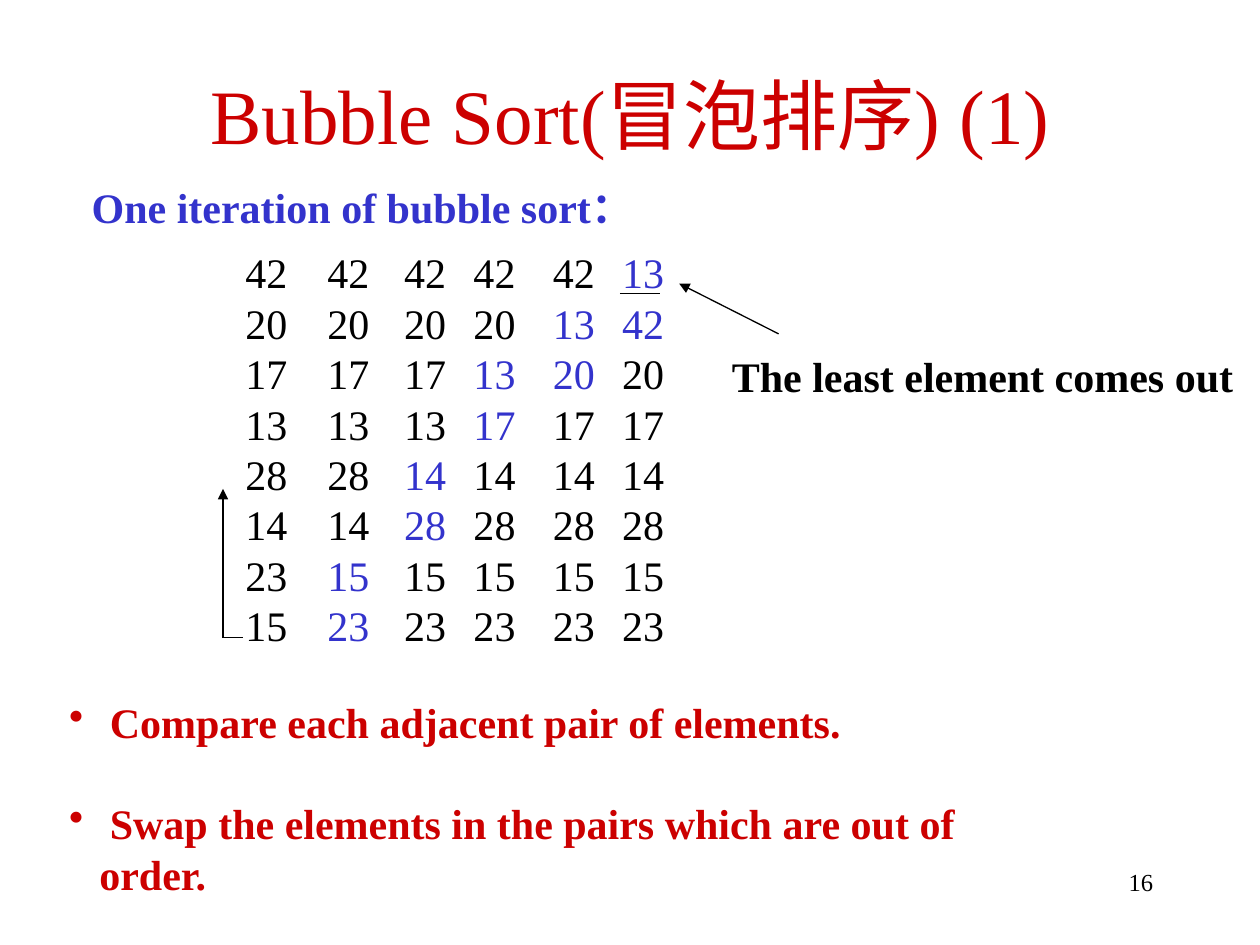
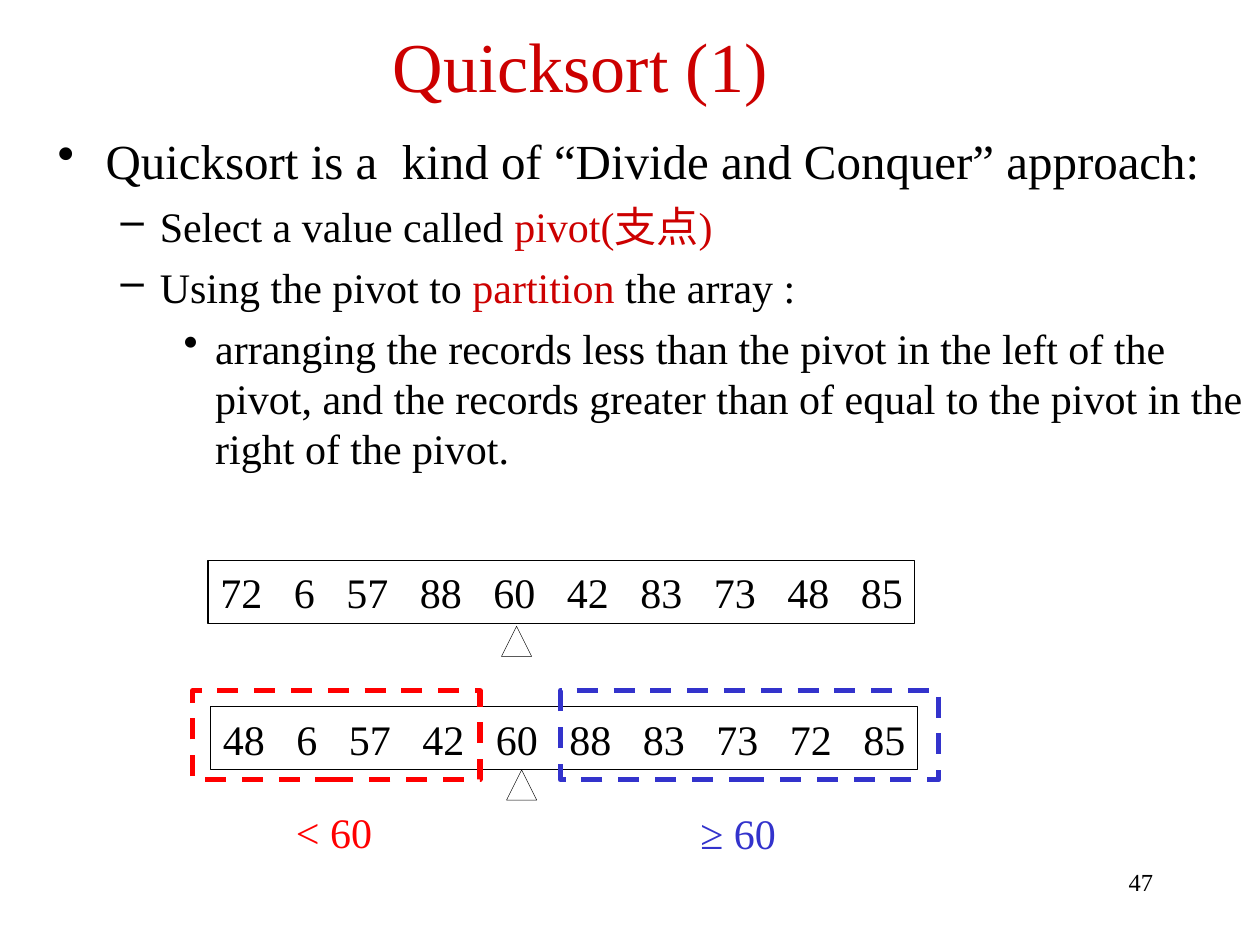
"""Build two slides on bubble sort and quicksort."""
from dataclasses import dataclass
from itertools import accumulate

from pptx import Presentation
from pptx.dml.color import RGBColor
from pptx.enum.dml import MSO_LINE
from pptx.enum.shapes import MSO_CONNECTOR, MSO_SHAPE
from pptx.enum.text import MSO_ANCHOR, MSO_AUTO_SIZE, PP_ALIGN
from pptx.oxml.ns import qn
from pptx.util import Pt
from lxml.etree import SubElement

PX = 9144
FONT = "Times New Roman"
BLACK, CRIMSON, BLUE, RED = "000000", "CC0000", "3333CC", "FF0000"
LEADING = 1.2
BODY = 24
DIGIT, GAP = BODY / 2 / 72 * 100, 25


@dataclass(frozen=True)
class Box:
    x: int
    y: int
    w: int
    h: int


@dataclass(frozen=True)
class Run:
    text: str
    color: str = BLACK
    size: int = BODY
    bold: bool = False


@dataclass(frozen=True)
class Para:
    runs: tuple[Run, ...]
    align: PP_ALIGN = PP_ALIGN.LEFT
    bullet: str = ""
    level: int = 0
    margin: int = 0
    hang: int = 0
    before: int = 0
    tabs: tuple[int, ...] = ()


@dataclass(frozen=True)
class Line:
    x1: int
    y1: int
    x2: int
    y2: int
    arrow: bool = False


@dataclass(frozen=True)
class ArrayRow:
    box: Box
    values: tuple[int, ...]
    pivot: Box


@dataclass(frozen=True)
class Part:
    frame: Box
    label: Box
    text: str
    color: str


def px(n: float) -> int:
    return round(n * PX)


def rgb(color: str) -> RGBColor:
    return RGBColor.from_string(color)


def place(box: Box) -> tuple[int, ...]:
    return tuple(px(n) for n in (box.x, box.y, box.w, box.h))


def assign(target, values: dict) -> None:
    for name, value in values.items():
        setattr(target, name, value)


def format_para(p, para: Para) -> None:
    pPr = p._p.get_or_add_pPr()
    if para.bullet:
        pPr.set("marL", str(px(para.margin)))
        pPr.set("indent", str(-px(para.hang)))
        SubElement(pPr, qn("a:buChar"), char=para.bullet)
    if para.tabs:
        stops = SubElement(pPr, qn("a:tabLst"))
        for stop in para.tabs:
            SubElement(stops, qn("a:tab"), pos=str(px(stop)), algn="l")
    size = max(run.size for run in para.runs)
    assign(p, {"alignment": para.align, "level": para.level,
               "line_spacing": Pt(size * LEADING), "space_before": Pt(para.before)})
    for run in para.runs:
        r = p.add_run()
        r.text = run.text
        assign(r.font, {"name": FONT, "size": Pt(run.size), "bold": run.bold})
        r.font.color.rgb = rgb(run.color)


def write(sp, paras: list[Para], wrap: bool = False,
          anchor: MSO_ANCHOR = MSO_ANCHOR.TOP, right: int = 10) -> None:
    tf = sp.text_frame
    fit = MSO_AUTO_SIZE.NONE if wrap else MSO_AUTO_SIZE.SHAPE_TO_FIT_TEXT
    assign(tf, {"auto_size": fit, "word_wrap": wrap, "vertical_anchor": anchor,
                "margin_left": px(10), "margin_right": px(right),
                "margin_top": px(5), "margin_bottom": px(5)})
    for i, para in enumerate(paras):
        format_para(tf.add_paragraph() if i else tf.paragraphs[0], para)


def add_text(s, box: Box, paras: list[Para], **layout) -> None:
    write(s.shapes.add_textbox(*place(box)), paras, **layout)


def add_label(s, box: Box, text: str, color: str, bold: bool = False) -> None:
    add_text(s, box, [Para((Run(text, color, bold=bold),))])


def add_outline(s, kind: MSO_SHAPE, box: Box, color: str = BLACK,
                width: float = 0.75, dashed: bool = False):
    sp = s.shapes.add_shape(kind, *place(box))
    sp.shadow.inherit = False
    sp.fill.background()
    sp.line.color.rgb = rgb(color)
    sp.line.width = Pt(width)
    if dashed:
        sp.line.dash_style = MSO_LINE.DASH
    return sp


def add_line(s, line: Line) -> None:
    c = s.shapes.add_connector(MSO_CONNECTOR.STRAIGHT, px(line.x1), px(line.y1),
                               px(line.x2), px(line.y2))
    c.line.color.rgb = rgb(BLACK)
    c.line.width = Pt(0.75)
    if line.arrow:
        SubElement(c.line._get_or_add_ln(), qn("a:tailEnd"), type="triangle")
    SubElement(c._element.spPr, qn("a:effectLst"))


def add_slide(prs, number: int, title: str, box: Box, size: int):
    s = prs.slides.add_slide(prs.slide_layouts[6])
    add_text(s, Box(717, 683, 208, 50),
             [Para((Run(str(number), size=14),), PP_ALIGN.RIGHT)], wrap=True)
    add_text(s, box, [Para((Run(title, CRIMSON, size),), PP_ALIGN.CENTER)],
             wrap=True, anchor=MSO_ANCHOR.MIDDLE)
    return s


def bubble_steps(values: list[int]) -> list[tuple[list[int], set[int]]]:
    items = list(values)
    steps = [(list(items), set())]
    for i in range(len(items) - 1, 0, -1):
        if items[i] < items[i - 1]:
            items[i - 1], items[i] = items[i], items[i - 1]
            steps.append((list(items), {i - 1, i}))
    return steps


def bubble_sort(prs) -> None:
    s = add_slide(prs, 16, "Bubble Sort(冒泡排序) (1)", Box(50, 40, 900, 100), 44)
    rules = (" Compare each adjacent pair of elements.",
             " Swap the elements in the pairs which are out of order.")
    add_text(s, Box(45, 548, 807, 130),
             [Para((Run(rule, CRIMSON, bold=True),), bullet="•", margin=24, hang=24,
                   before=29 * i) for i, rule in enumerate(rules)], wrap=True)
    steps = bubble_steps([42, 20, 17, 13, 28, 14, 23, 15])
    for x, (items, swapped) in zip((185, 250, 311, 366, 429, 484), steps):
        add_text(s, Box(x, 191, 54, 330),
                 [Para((Run(str(n), BLUE if i in swapped else BLACK),))
                  for i, n in enumerate(items)])
    for line in (Line(177, 506, 177, 388, True), Line(177, 506, 193, 506),
                 Line(492, 233, 524, 233), Line(618, 265, 539, 225, True)):
        add_line(s, line)
    add_label(s, Box(63, 139, 500, 50), "One iteration of bubble sort：", BLUE, True)
    add_label(s, Box(571, 273, 418, 50), "The least element comes out", BLACK, True)


def add_array(s, row: ArrayRow) -> None:
    texts = [str(n) for n in row.values]
    tabs = tuple(accumulate(len(t) * DIGIT + GAP for t in texts[:-1]))
    sp = add_outline(s, MSO_SHAPE.RECTANGLE, row.box)
    write(sp, [Para((Run("\t".join(texts)),), tabs=tabs)], wrap=True, right=0)
    add_outline(s, MSO_SHAPE.ISOSCELES_TRIANGLE, row.pivot, width=0.25)


def quicksort(prs) -> None:
    s = add_slide(prs, 47, "Quicksort (1)", Box(43, 28, 835, 47), 40)
    dash = {"bullet": "–", "level": 1, "margin": 81, "hang": 31, "before": 6}
    add_text(s, Box(36, 99, 961, 307), [
        Para((Run("Quicksort is a  kind of “Divide and Conquer” approach:", size=28),),
             bullet="•", margin=38, hang=38),
        Para((Run("Select a value called "), Run("pivot(支点)", CRIMSON)), **dash),
        Para((Run("Using the pivot to "), Run("partition", CRIMSON),
              Run(" the array :")), **dash),
        Para((Run("arranging the records less than the pivot in the left of the pivot, "
                  "and the records greater than of equal to the pivot in the right "
                  "of the pivot."),),
             bullet="•", level=2, margin=125, hang=25, before=6),
    ], wrap=True)
    for row in (
        ArrayRow(Box(165, 445, 561, 50), (72, 6, 57, 88, 60, 42, 83, 73, 48, 85),
                 Box(398, 497, 24, 24)),
        ArrayRow(Box(167, 561, 561, 50), (48, 6, 57, 42, 60, 88, 83, 73, 72, 85),
                 Box(402, 611, 24, 24)),
    ):
        add_array(s, row)
    for part in (Part(Box(153, 548, 228, 71), Box(225, 635, 90, 50), "< 60", RED),
                 Part(Box(445, 548, 300, 71), Box(546, 636, 90, 50), "≥ 60", BLUE)):
        add_outline(s, MSO_SHAPE.RECTANGLE, part.frame, part.color, 3, True)
        add_label(s, part.label, part.text, part.color)


def main() -> None:
    prs = Presentation()
    assign(prs, {"slide_width": px(1000), "slide_height": px(750)})
    bubble_sort(prs)
    quicksort(prs)
    prs.save("out.pptx")


if __name__ == "__main__":
    main()
